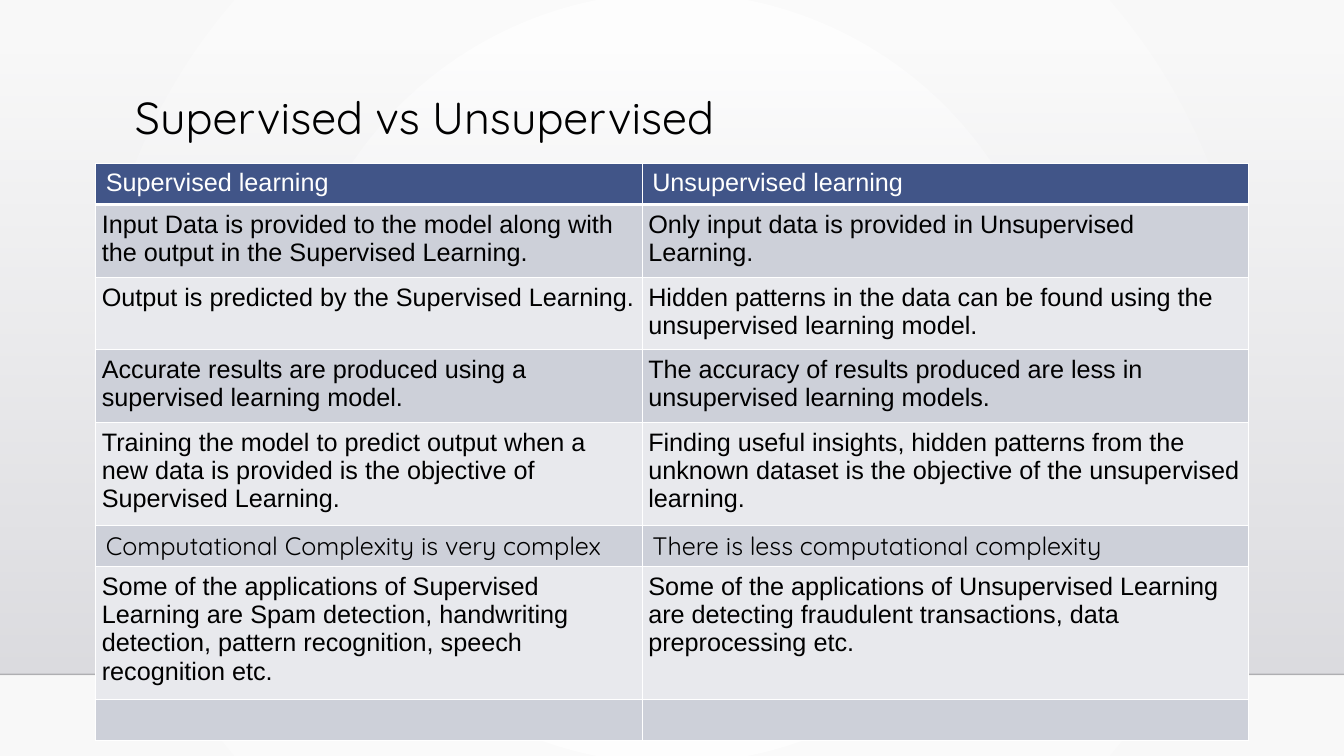
"""Builds a slide that compares supervised and unsupervised learning in a table."""
from lxml.etree import SubElement
from pptx import Presentation
from pptx.dml.color import RGBColor
from pptx.enum.shapes import MSO_CONNECTOR as CONNECTOR, MSO_SHAPE as SHAPE
from pptx.enum.text import MSO_ANCHOR as ANCHOR
from pptx.oxml import parse_xml
from pptx.oxml.ns import nsdecls, qn
from pptx.util import Inches, Pt

WIDTH, HEIGHT = 13.33, 7.5
COLUMNS = (5.42, 6.01)
ROW_HEIGHT = 0.41
BODY_FONT, DISPLAY_FONT = "Arial", "Quicksand"
HEADER_FILL, BAND_FILLS = "415588", ("E8E9ED", "CDD0D9")
DISPLAY_ROW = 5
ROWS = (
    ("Supervised learning", "Unsupervised learning"),
    ("Input Data is provided to the model along with the output in the Supervised Learning.",
     "Only input data is provided in Unsupervised Learning."),
    ("Output is predicted by the Supervised Learning.",
     "Hidden patterns in the data can be found using the unsupervised learning model."),
    ("Accurate results are produced using a supervised learning model.",
     "The accuracy of results produced are less in unsupervised learning models."),
    ("Training the model to predict output when a new data is provided is the objective of "
     "Supervised Learning.",
     "Finding useful insights, hidden patterns from the unknown dataset is the objective of "
     "the unsupervised learning."),
    ("Computational Complexity is very complex", "There is less computational complexity"),
    ("Some of the applications of Supervised Learning are Spam detection, handwriting "
     "detection, pattern recognition, speech recognition etc.",
     "Some of the applications of Unsupervised Learning are detecting fraudulent "
     "transactions, data preprocessing etc."),
    ("", ""),
)


def color(value):
    """Turn a hex string into a colour."""
    return RGBColor.from_string(value)


def set_gradient(fill, start, end):
    """Give a fill a downward gradient between two colours."""
    fill.gradient()
    fill.gradient_angle = 270
    for stop, value, position in zip(fill.gradient_stops, (start, end), (0, 1)):
        stop.color.rgb = color(value)
        stop.position = position


def set_opacity(element, percent):
    """Set the opacity of the first colour inside an element."""
    first_color = next(element.iter(qn("a:srgbClr")))
    SubElement(first_color, qn("a:alpha")).set("val", str(percent * 1000))


def style_text(paragraph, size, font_name, value):
    """Set the font of a paragraph."""
    font = paragraph.font
    font.size, font.name, font.bold = Pt(size), font_name, False
    font.color.rgb = color(value)


def add_backdrop(slide, left, top, width, height):
    """Paint the radial background, the shaded wall and its floor line."""
    set_gradient(slide.background.fill, "FFFFFF", "F8F8F8")
    linear = slide.element.xpath(".//p:bg//a:lin")[0]
    linear.getparent().replace(linear, parse_xml(
        f'<a:path {nsdecls("a")} path="circle">'
        '<a:fillToRect l="50000" t="50000" r="50000" b="50000"/></a:path>'))

    wall = slide.shapes.add_shape(
        SHAPE.RECTANGLE, Inches(left), Inches(top), Inches(width), Inches(height))
    wall.shadow.inherit = False
    wall.line.fill.background()
    set_gradient(wall.fill, "DCDCE0", "DDDDE1")
    set_opacity(wall.element.spPr, 0)

    floor = Inches(top + height)
    line = slide.shapes.add_connector(
        CONNECTOR.STRAIGHT, Inches(left), floor, Inches(left + width), floor)
    line.line.color.rgb = color("000001")
    line.line.width = Pt(1)
    properties = line.element.spPr
    set_opacity(properties, 20)
    SubElement(properties, qn("a:effectLst"))


def add_title(slide, left, top, width, height):
    """Place the slide title."""
    box = slide.shapes.add_textbox(Inches(left), Inches(top), Inches(width), Inches(height))
    frame = box.text_frame
    frame.word_wrap = True
    frame.vertical_anchor = ANCHOR.TOP
    frame.text = "Supervised vs Unsupervised"
    paragraph = frame.paragraphs[0]
    paragraph.line_spacing = 0.9
    style_text(paragraph, 32, DISPLAY_FONT, "000000")


def set_borders(cell, top, bottom):
    """Draw white borders around a cell, with the given top and bottom widths."""
    properties = cell._tc.get_or_add_tcPr()
    for index, (side, width) in enumerate(
            (("L", 1), ("R", 1), ("T", top), ("B", bottom))):
        properties.insert(index, parse_xml(
            f'<a:ln{side} {nsdecls("a")} w="{Pt(width)}"><a:solidFill>'
            f'<a:srgbClr val="FFFFFF"/></a:solidFill></a:ln{side}>'))


def add_comparison(slide, left, top):
    """Place the comparison table with its corner at the given point."""
    table = slide.shapes.add_table(
        len(ROWS), len(COLUMNS), Inches(left), Inches(top),
        Inches(sum(COLUMNS)), Inches(ROW_HEIGHT * len(ROWS))).table
    for column, width in zip(table.columns, COLUMNS):
        column.width = Inches(width)
    for row_index, texts in enumerate(ROWS):
        table.rows[row_index].height = Inches(ROW_HEIGHT)
        header = row_index == 0
        roomy = row_index in (0, DISPLAY_ROW, len(ROWS) - 1)
        side, edge = (0.1, 0.05) if roomy else (0.06, 0.06)
        for column_index, text in enumerate(texts):
            cell = table.cell(row_index, column_index)
            cell.text = text
            cell.margin_left = cell.margin_right = Inches(side)
            cell.margin_top = cell.margin_bottom = Inches(edge)
            cell.fill.solid()
            cell.fill.fore_color.rgb = color(
                HEADER_FILL if header else BAND_FILLS[row_index % 2])
            style_text(cell.text_frame.paragraphs[0], 18,
                       DISPLAY_FONT if row_index == DISPLAY_ROW else BODY_FONT,
                       "FFFFFF" if header else "000000")
            set_borders(cell, 3 if row_index == 1 else 1, 3 if header else 1)


def main():
    """Build and save the presentation."""
    presentation = Presentation()
    presentation.slide_width, presentation.slide_height = Inches(WIDTH), Inches(HEIGHT)
    slide = presentation.slides.add_slide(presentation.slide_layouts[6])
    add_backdrop(slide, 0, 0.51, WIDTH, 6.18)
    add_title(slide, 1.24, 0.9, 10.5, 1.15)
    add_comparison(slide, 0.95, 1.62)
    presentation.save("out.pptx")


if __name__ == "__main__":
    main()
